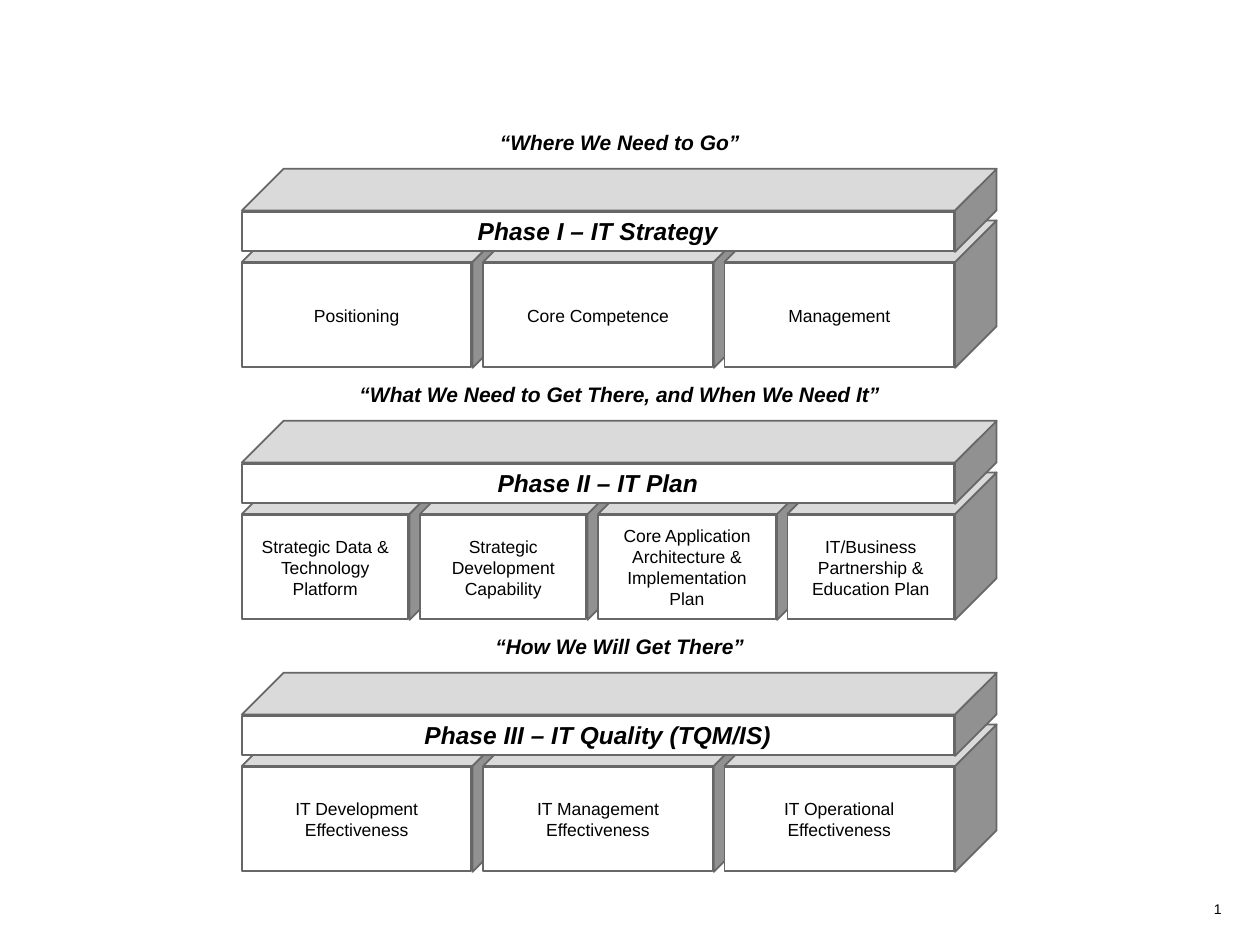
from pptx import Presentation
from pptx.dml.color import RGBColor
from pptx.enum import shapes, text
from pptx.util import Inches, Pt

WHITE = RGBColor(0xFF, 0xFF, 0xFF)
BLACK = RGBColor(0, 0, 0)
LIGHT = RGBColor(0xDA, 0xDA, 0xDA)
DARK = RGBColor(0x91, 0x91, 0x91)
EDGE = RGBColor(0x67, 0x67, 0x67)

LEFT, WIDTH = 1.92, 6
DEPTH = 0.33
FRONT = 5.66
PITCH = 2

PHASES = [
    ("“Where We Need to Go”", "Phase I – IT Strategy",
     [("Positioning", 1.83), ("Core Competence", 1.83),
      ("Management", 1.83)]),
    ("“What We Need to Get There, and When We Need It”",
     "Phase II – IT Plan",
     [("Strategic Data & Technology Platform", 1.33),
      ("Strategic Development Capability", 1.33),
      ("Core Application Architecture & Implementation Plan", 1.42),
      ("IT/Business Partnership & Education Plan", 1.33)]),
    ("“How We Will Get There”", "Phase III – IT Quality (TQM/IS)",
     [("IT Development Effectiveness", 1.83),
      ("IT Management Effectiveness", 1.83),
      ("IT Operational Effectiveness", 1.83)]),
]


def write(shape, words, size, strong=False, pad=0.05, side=0.1):
    """Put one centred run in the shape."""
    frame = shape.text_frame
    frame.word_wrap = True
    frame.vertical_anchor = text.MSO_ANCHOR.MIDDLE
    frame.margin_left = frame.margin_right = Inches(side)
    frame.margin_top = frame.margin_bottom = Inches(pad)
    para = frame.paragraphs[0]
    para.alignment = text.PP_ALIGN.CENTER
    run = para.add_run()
    run.text = words
    font = run.font
    font.name, font.size = "Arial", Pt(size)
    font.bold = font.italic = strong
    font.color.rgb = BLACK


def paint(shape, color):
    shape.shadow.inherit = False
    shape.fill.solid()
    shape.fill.fore_color.rgb = color
    shape.line.color.rgb = EDGE
    shape.line.width = Pt(1)


def add_label(slide, x, y, w, h, words, size, **style):
    box = slide.shapes.add_textbox(Inches(x), Inches(y), Inches(w), Inches(h))
    write(box, words, size, **style)


def add_outline(slide, points, color):
    spots = [(Inches(x), Inches(y)) for x, y in points]
    pen = slide.shapes.build_freeform(*spots[0])
    pen.add_line_segments(spots[1:], close=True)
    paint(pen.convert_to_shape(), color)


def add_block(slide, x, y, w, h, words, size, **style):
    """Draw a solid whose front face fills the given box."""
    right, back = x + w, y - DEPTH
    add_outline(slide, [(right, y), (right + DEPTH, back),
                        (right + DEPTH, back + h), (right, y + h)], DARK)
    add_outline(slide, [(x, y), (x + DEPTH, back),
                        (right + DEPTH, back), (right, y)], LIGHT)
    face = slide.shapes.add_shape(
        shapes.MSO_SHAPE.RECTANGLE, Inches(x), Inches(y + 0.01),
        Inches(w - 0.01), Inches(h - 0.02))
    paint(face, WHITE)
    write(face, words, size, **style)


def add_phase(slide, x, y, quote, title, parts):
    gap = (FRONT - sum(w for _, w in parts)) / (len(parts) - 1)
    at = x
    for words, w in parts:
        add_block(slide, at, y + 1.16, w, 0.84, words, 10, pad=0.1)
        at += w + gap
    add_block(slide, x, y + 0.75, FRONT, 0.33, title, 14, strong=True)
    add_label(slide, x, y, WIDTH, 0.42, quote, 12, strong=True)


def main():
    deck = Presentation()
    deck.slide_width, deck.slide_height = Inches(10), Inches(7.5)
    slide = deck.slides.add_slide(deck.slide_layouts[6])
    add_label(slide, 9.5, 7.1, 0.33, 0.23, "1", 8, side=0.05)
    for i, phase in reversed(list(enumerate(PHASES))):
        add_phase(slide, LEFT, 0.92 + i * PITCH, *phase)
    deck.save("out.pptx")


if __name__ == "__main__":
    main()
